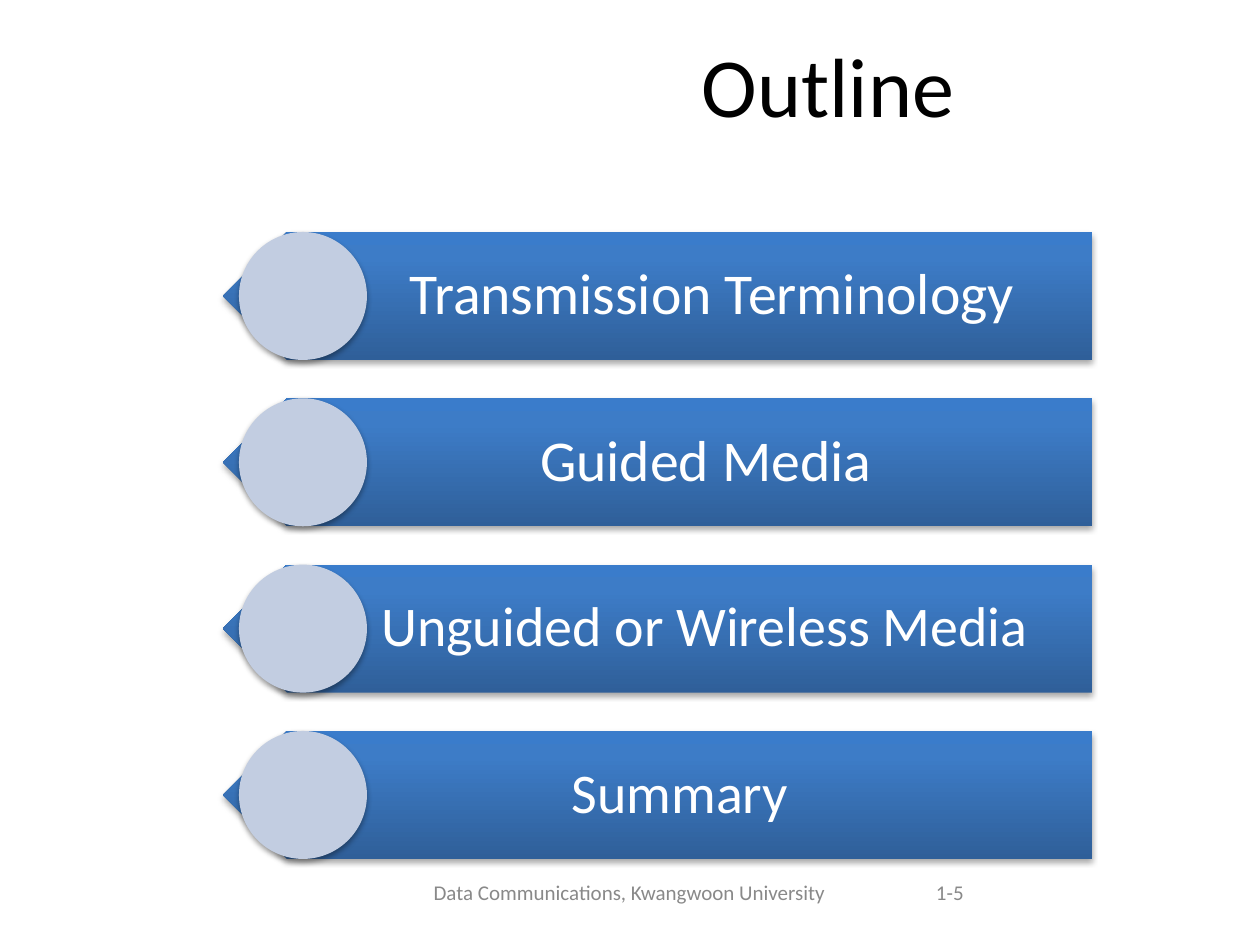
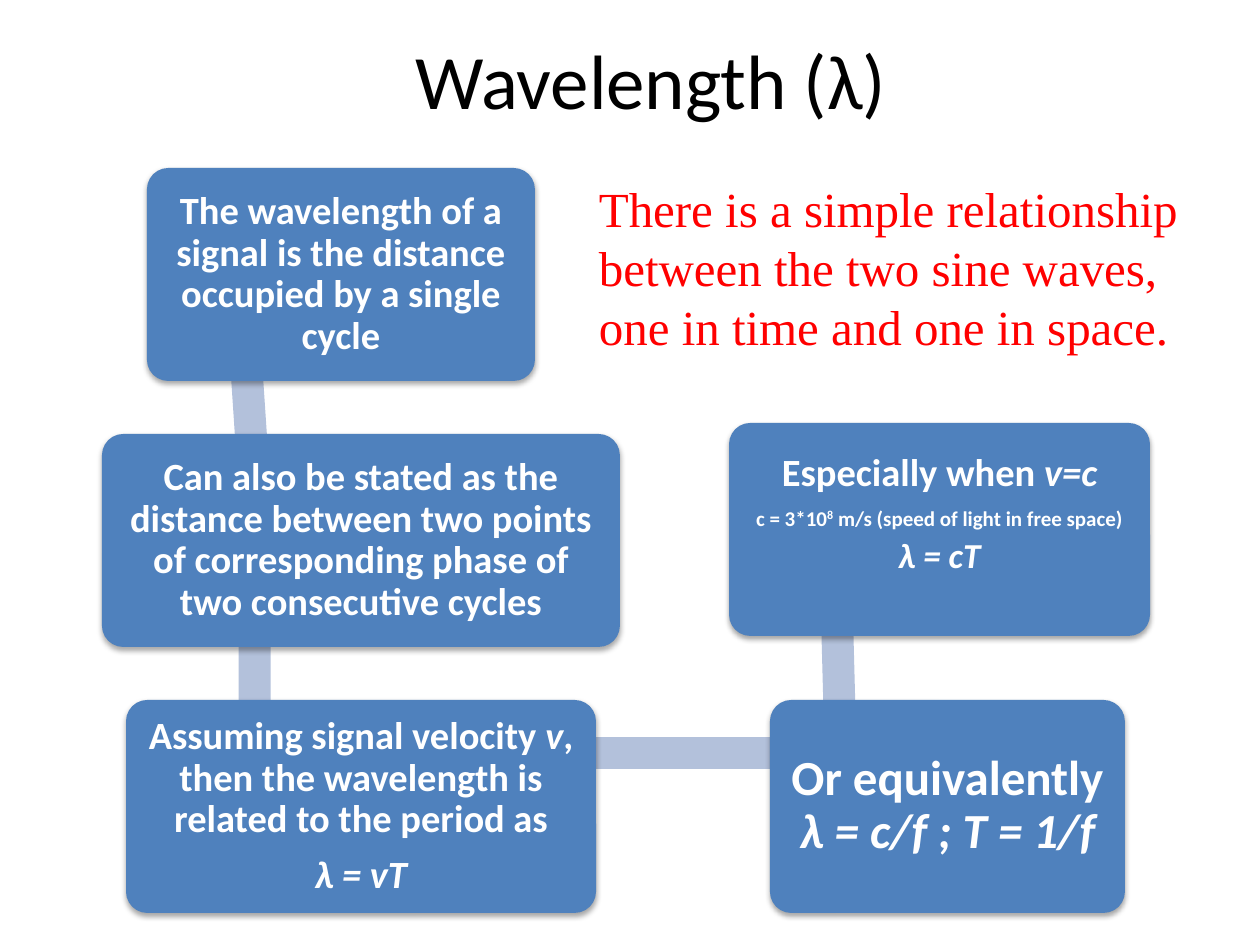
import pptx
import pptx.dml.color
import pptx.enum.shapes
import pptx.enum.text
import pptx.oxml.ns
import pptx.util
from lxml import etree

PX_PER_INCH = 126
COLORS = {
    "title": "000000",
    "footer": "898989",
    "light_text": "FFFFFF",
    "remark": "FF0000",
    "circle": "C2CDE1",
    "node": "4F81BD",
    "link": "B3C1DB",
    "shadow": "000000",
}
ARROW_GRADIENT = [(0, "2F5F99"), (80, "3D7CC7"), (100, "3A7CCB")]
BODY_FONT = "Calibri"
REMARK_FONT = "Times New Roman"

SHAPES = pptx.enum.shapes.MSO_SHAPE
CENTER = pptx.enum.text.PP_ALIGN.CENTER
LEFT = pptx.enum.text.PP_ALIGN.LEFT
MIDDLE = pptx.enum.text.MSO_ANCHOR.MIDDLE
TOP = pptx.enum.text.MSO_ANCHOR.TOP
qn = pptx.oxml.ns.qn

# Each topic: wording, size, left inset that centres it beside the circle
TOPICS = [
    ("Transmission Terminology", 33, 109),
    ("Guided Media", 33, 97),
    ("Unguided or Wireless Media", 32, 95),
    ("Summary", 32, 45),
]

# Each link: box and rotation
LINKS = [
    ((112, 338, 267, 32), 86.2),
    ((122, 604, 265, 32), 90),
    ((256, 737, 585, 32), 0),
    ((699, 599, 276, 32), 268.5),
]

# Each node: box, insets, paragraphs of (size, [(text, style), ...])
NODE_INSETS = (11, 11, 11, 11)
NODES = [
    ((147, 168, 388, 213), NODE_INSETS, [
        (22, [("The wavelength of a signal is the distance occupied "
               "by a single cycle", "")]),
    ]),
    ((102, 434, 518, 213), NODE_INSETS, [
        (22, [("Can also be stated as the distance between two points of "
               "corresponding phase of two consecutive cycles", "")]),
    ]),
    ((126, 700, 470, 213), NODE_INSETS, [
        (22, [("Assuming signal velocity ", ""), ("v", "italic"),
              (", then the wavelength is related to the period as", "")]),
        (22, [("λ = vT", "italic")]),
    ]),
    ((770, 700, 355, 213), (14, 15, 14, 15), [
        (28, [("Or equivalently ", ""), ("λ = c/f ; T = 1/f", "italic")]),
    ]),
    ((729, 423, 421, 213), (11, 11, 11, 41), [
        (22, [("Especially when ", ""), ("v=c", "italic")]),
        (12, [("c = 3*10", ""), ("8", "superscript"),
              (" m/s (speed of light in free space)", "")]),
        (20, [("λ = cT", "italic")]),
    ]),
]


def emu(px):
    return pptx.util.Emu(round(px * 914400 / PX_PER_INCH))


def rgb(name):
    return pptx.dml.color.RGBColor.from_string(COLORS[name])


def format_run(run, size, color, font=BODY_FONT, bold=False):
    run.font.name = font
    run.font.size = pptx.util.Pt(size)
    run.font.color.rgb = rgb(color)
    run.font.bold = bold


def format_diagram_paragraph(paragraph, size):
    paragraph.alignment = CENTER
    paragraph.line_spacing = 0.9
    paragraph.space_after = pptx.util.Pt(round(0.35 * size, 1))


def set_frame(text_frame, anchor, insets):
    text_frame.word_wrap = True
    text_frame.vertical_anchor = anchor
    (text_frame.margin_left, text_frame.margin_top,
     text_frame.margin_right, text_frame.margin_bottom) = map(emu, insets)


def add_text(slide, box, text, size, color, alignment=LEFT, anchor=MIDDLE,
             font=BODY_FONT, insets=(13, 6, 13, 6)):
    text_frame = slide.shapes.add_textbox(*map(emu, box)).text_frame
    set_frame(text_frame, anchor, insets)
    text_frame.text = text
    paragraph = text_frame.paragraphs[0]
    paragraph.alignment = alignment
    format_run(paragraph.runs[0], size, color, font)
    return paragraph


def add_plain_shape(slide, kind, box, color):
    shape = slide.shapes.add_shape(kind, *map(emu, box))
    shape.fill.solid()
    shape.fill.fore_color.rgb = rgb(color)
    shape.line.fill.background()
    shape.shadow.inherit = False
    return shape


def add_shadow(shape):
    effects = shape.element.spPr.find(qn("a:effectLst"))
    outer = etree.SubElement(
        effects, qn("a:outerShdw"), blurRad="40000", dist="23000",
        dir="5400000", rotWithShape="0")
    color = etree.SubElement(outer, qn("a:srgbClr"), val=COLORS["shadow"])
    etree.SubElement(color, qn("a:alpha"), val="35000")


def fill_with_gradient(shape, stops):
    """Run the stops from the bottom edge to the top edge."""
    shape.fill.gradient()
    shape.fill.gradient_angle = 90
    stop_list = shape.element.spPr.find(qn("a:gradFill")).find(qn("a:gsLst"))
    for stop in list(stop_list):
        stop_list.remove(stop)
    for percent, color in stops:
        stop = etree.SubElement(stop_list, qn("a:gs"), pos=str(percent * 1000))
        etree.SubElement(stop, qn("a:srgbClr"), val=color)


def add_titled_slide(presentation, title, box, size):
    slide = presentation.slides.add_slide(presentation.slide_layouts[5])
    placeholder = slide.shapes.title
    (placeholder.left, placeholder.top,
     placeholder.width, placeholder.height) = map(emu, box)
    text_frame = placeholder.text_frame
    text_frame.text = title
    text_frame.vertical_anchor = MIDDLE
    text_frame.paragraphs[0].alignment = CENTER
    format_run(text_frame.paragraphs[0].runs[0], size, "title")
    return slide


def add_footer(slide, box, text, page):
    left, top, width, height = box
    add_text(slide, (left, top, 567, height), text, 12, "footer", CENTER)
    add_text(slide, (left + 577, top, width - 577, height), page, 12, "footer")


def add_topic(slide, box, text, size, left_inset):
    left, top, width, height = box
    arrow = add_plain_shape(slide, SHAPES.PENTAGON, box, "node")
    arrow.element.spPr.find(qn("a:xfrm")).set("flipH", "1")
    fill_with_gradient(arrow, ARROW_GRADIENT)
    add_shadow(arrow)
    paragraph = add_text(
        slide, (left + 32, top, width - 32, height), text, size, "light_text",
        insets=(left_inset, 17, 32, 17))
    format_diagram_paragraph(paragraph, size)
    circle = add_plain_shape(
        slide, SHAPES.OVAL, (left + 16, top, height, height), "circle")
    add_shadow(circle)


def add_topic_list(slide, box, topics):
    left, top, width, height = box
    row_height = 128
    step = (height - row_height) / (len(topics) - 1)
    for index, topic in enumerate(topics):
        row = (left, top + index * step, width, row_height)
        add_topic(slide, row, *topic)


def add_link(slide, box, rotation):
    link = add_plain_shape(slide, SHAPES.RECTANGLE, box, "link")
    link.rotation = rotation


def add_node(slide, box, insets, paragraphs):
    node = add_plain_shape(slide, SHAPES.ROUNDED_RECTANGLE, box, "node")
    node.adjustments[0] = 0.1
    add_shadow(node)
    text_frame = node.text_frame
    set_frame(text_frame, MIDDLE, insets)
    for index, (size, runs) in enumerate(paragraphs):
        paragraph = (text_frame.add_paragraph() if index
                     else text_frame.paragraphs[0])
        format_diagram_paragraph(paragraph, size)
        for text, style in runs:
            run = paragraph.add_run()
            run.text = text
            format_run(run, size, "light_text", bold=True)
            run.font.italic = style == "italic"
            if style == "superscript":
                run.font._element.set("baseline", "30000")


def build_outline(presentation):
    slide = add_titled_slide(presentation, "Outline", (312, 21, 1032, 126), 48)
    add_footer(slide, (346, 861, 819, 63),
               "Data Communications, Kwangwoon University", "1-5")
    add_topic_list(slide, (223, 232, 869, 627), TOPICS)


def build_wavelength(presentation):
    slide = add_titled_slide(
        presentation, "Wavelength (λ)", (84, 0, 1134, 158), 44)
    for link in LINKS:
        add_link(slide, *link)
    for node in NODES:
        add_node(slide, *node)
    add_text(slide, (586, 173, 630, 190),
             "There is a simple relationship between the two sine waves, "
             "one in time and one in space.",
             28, "remark", anchor=TOP, font=REMARK_FONT)


def main():
    presentation = pptx.Presentation()
    presentation.slide_width = emu(1260)
    presentation.slide_height = emu(945)
    build_outline(presentation)
    build_wavelength(presentation)
    presentation.save("out.pptx")


if __name__ == "__main__":
    main()
